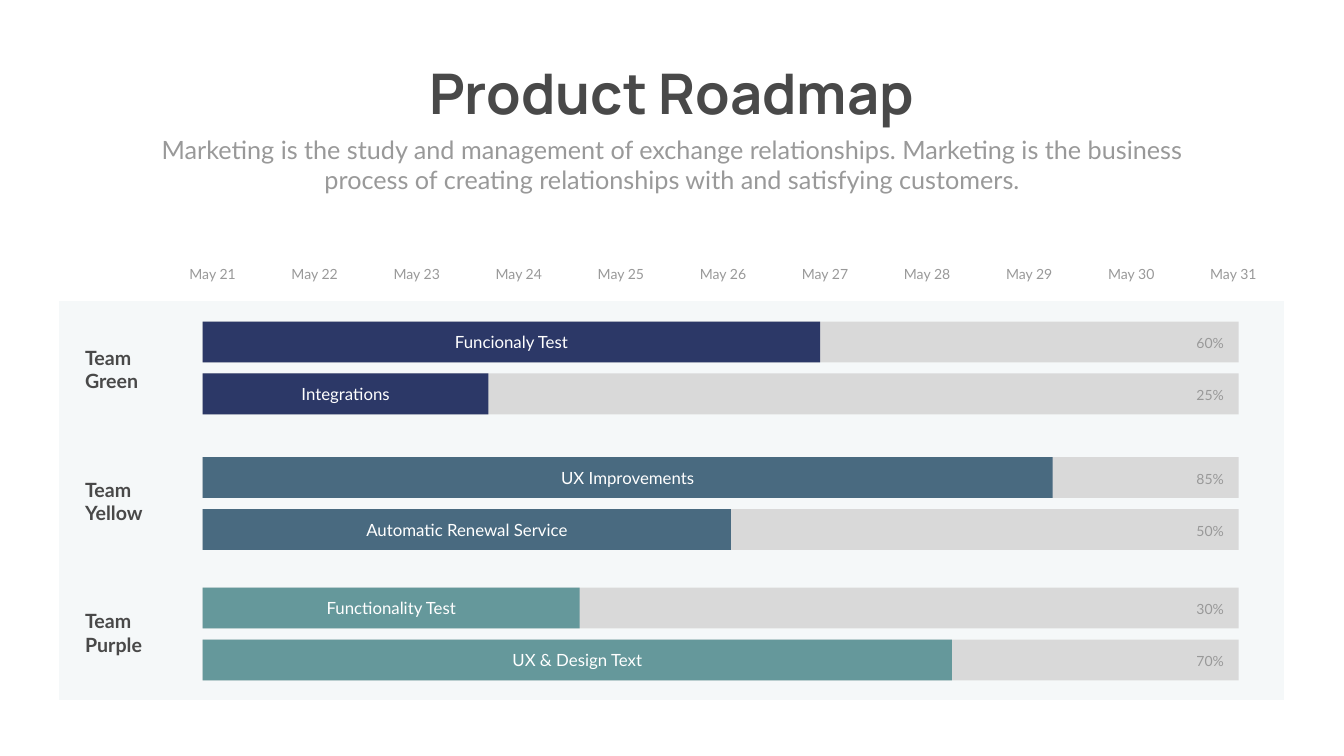
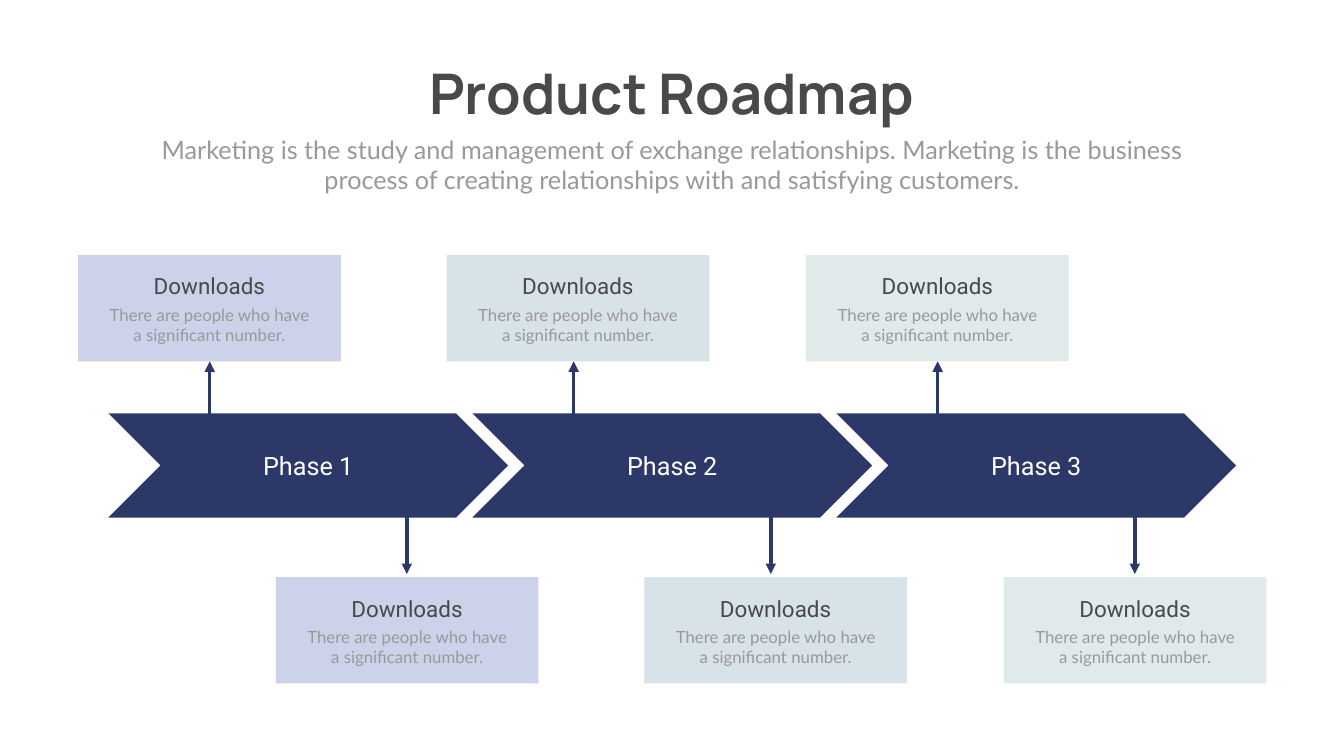
from dataclasses import dataclass
from typing import NamedTuple

from lxml.etree import SubElement
from pptx import Presentation
from pptx.dml.color import RGBColor
from pptx.enum.shapes import MSO_CONNECTOR, MSO_SHAPE
from pptx.enum.text import MSO_ANCHOR, MSO_AUTO_SIZE, PP_ALIGN
from pptx.oxml.ns import qn
from pptx.util import Emu, Pt

PX = 9144
NO_STYLE_TABLE = "{2D5ABB26-0587-4C30-8999-92F81FD0307C}"


class TextStyle(NamedTuple):
    name: str
    size: int
    color: str
    bold: bool = False


@dataclass(frozen=True)
class Theme:
    white: str = "FFFFFF"
    panel: str = "F5F8F9"
    track: str = "D9D9D9"
    navy: str = "2C3867"
    steel: str = "496A80"
    teal: str = "65989B"
    pale_navy: str = "CCD2E9"
    pale_steel: str = "D8E2E9"
    pale_teal: str = "E0EAEB"
    arrow_width: int = 5
    title: TextStyle = TextStyle("Manrope", 80, "494949", True)
    subtitle: TextStyle = TextStyle("Lato", 36, "999999")
    team: TextStyle = TextStyle("Lato", 28, "494949", True)
    task: TextStyle = TextStyle("Lato", 24, "FFFFFF")
    small: TextStyle = TextStyle("Lato", 20, "999999")
    phase: TextStyle = TextStyle("Roboto", 36, "FFFFFF")
    card_title: TextStyle = TextStyle("Roboto", 32, "494949")
    card_body: TextStyle = TextStyle("Lato", 24, "999999")


THEME = Theme()


class Box(NamedTuple):
    left: int
    top: int
    width: int
    height: int

    def emu(self) -> list[Emu]:
        return [Emu(length * PX) for length in self]


class Task(NamedTuple):
    name: str
    width: int
    percent: str


@dataclass(frozen=True)
class Team:
    name: str
    color: str
    label_top: int
    bars_top: int
    tasks: tuple[Task, ...]


@dataclass(frozen=True)
class Phase:
    name: str
    card_color: str
    card_left: int


TEAMS = (
    Team("Team Green", THEME.navy, 681, 638,
         (Task("Funcionaly Test", 1225, "60%"), Task("Integrations", 567, "25%"))),
    Team("Team Yellow", THEME.steel, 943, 907,
         (Task("UX Improvements", 1686, "85%"),
          Task("Automatic Renewal Service", 1048, "50%"))),
    Team("Team Purple", THEME.teal, 1204, 1166,
         (Task("Functionality Test", 748, "30%"), Task("UX & Design Text", 1486, "70%"))),
)
PHASES = (
    Phase("Phase 1", THEME.pale_navy, 155),
    Phase("Phase 2", THEME.pale_steel, 886),
    Phase("Phase 3", THEME.pale_teal, 1599),
)

BAR_LEFT, BAR_HEIGHT, BAR_STEP, TRACK_WIDTH = 402, 81, 103, 2055
PHASE_LEFT, PHASE_STEP = 215, 722
LOWER_CARD_SHIFT = 392


def write(frame, text: str, style: TextStyle, align=PP_ALIGN.CENTER) -> None:
    paragraph = frame.paragraphs[0]
    paragraph.alignment = align
    run = paragraph.add_run()
    run.text = text
    values = {"name": style.name, "size": Pt(style.size), "bold": style.bold}
    for attribute, value in values.items():
        setattr(run.font, attribute, value)
    run.font.color.rgb = RGBColor.from_string(style.color)


def add_text(shapes, box: Box, text: str, style: TextStyle,
             align=PP_ALIGN.CENTER, wrap: bool = True) -> None:
    frame = shapes.add_textbox(*box.emu()).text_frame
    values = {"word_wrap": wrap, "auto_size": MSO_AUTO_SIZE.SHAPE_TO_FIT_TEXT}
    for attribute, value in values.items():
        setattr(frame, attribute, value)
    write(frame, text, style, align)


def add_block(shapes, box: Box, color: str, text: str = "",
              style: TextStyle = THEME.task, kind=MSO_SHAPE.RECTANGLE) -> None:
    shape = shapes.add_shape(kind, *box.emu())
    shape.shadow.inherit = False
    shape.fill.solid()
    shape.fill.fore_color.rgb = RGBColor.from_string(color)
    shape.line.fill.background()
    if text:
        write(shape.text_frame, text, style)


def add_arrow(shapes, x: int, start: int, end: int) -> None:
    ends = [Emu(length * PX) for length in (x, start, x, end)]
    connector = shapes.add_connector(MSO_CONNECTOR.STRAIGHT, *ends)
    connector.line.width = Pt(THEME.arrow_width)
    connector.line.color.rgb = RGBColor.from_string(THEME.navy)
    properties = connector._element.spPr
    SubElement(properties.find(qn("a:ln")), qn("a:tailEnd"), type="triangle")
    SubElement(properties, qn("a:effectLst"))


def add_heading(slide) -> None:
    shapes = slide.shapes.add_group_shape().shapes
    add_text(shapes, Box(799, 112, 1067, 145), "Product Roadmap", THEME.title, wrap=False)
    add_text(shapes, Box(292, 261, 2082, 131),
             "Marketing is the study and management of exchange relationships. "
             "Marketing is the business process of creating relationships with "
             "and satisfying customers.", THEME.subtitle)


def add_calendar(slide) -> None:
    table = slide.shapes.add_table(4, 12, *Box(118, 491, 2430, 898).emu()).table
    table._tbl.tblPr.find(qn("a:tableStyleId")).text = NO_STYLE_TABLE
    for attribute in ("first_row", "horz_banding"):
        setattr(table, attribute, False)
    for row_index, row in enumerate(table.rows):
        row.height = Emu((264 if row_index else 106) * PX)
        for column_index, cell in enumerate(row.cells):
            cell.fill.solid()
            color = THEME.panel if row_index else THEME.white
            cell.fill.fore_color.rgb = RGBColor.from_string(color)
            cell.vertical_anchor = MSO_ANCHOR.MIDDLE
            if row_index == 0 and column_index > 0:
                write(cell.text_frame, f"May {20 + column_index}", THEME.small)


def add_team(slide, team: Team) -> None:
    shapes = slide.shapes
    add_text(shapes, Box(159, team.label_top, 168, 104), team.name, THEME.team, PP_ALIGN.LEFT)
    for index, task in enumerate(team.tasks):
        top = team.bars_top + index * BAR_STEP
        add_block(shapes, Box(BAR_LEFT, top, TRACK_WIDTH, BAR_HEIGHT), THEME.track)
        add_block(shapes, Box(BAR_LEFT, top, task.width, BAR_HEIGHT), team.color, task.name)
        add_text(shapes, Box(2363, top + 21, 75, 44), task.percent, THEME.small, wrap=False)


def add_card(slide, left: int, top: int, color: str) -> None:
    shapes = slide.shapes
    add_block(shapes, Box(left, top, 521, 211), color)
    add_text(shapes, Box(left + 48, top + 93, 425, 91),
             "There are people who have a significant number.", THEME.card_body)
    add_text(shapes, Box(left, top + 30, 521, 64), "Downloads", THEME.card_title)


def build_timeline(slide) -> None:
    add_heading(slide)
    add_calendar(slide)
    for team in TEAMS:
        add_team(slide, team)


def build_phases(slide) -> None:
    add_heading(slide)
    shapes = slide.shapes.add_group_shape().shapes
    for index, phase in enumerate(PHASES):
        left = PHASE_LEFT + index * PHASE_STEP
        add_block(shapes, Box(left, 820, 793, 207), THEME.navy,
                  phase.name, THEME.phase, MSO_SHAPE.CHEVRON)
        add_arrow(shapes, left + 201, 913, 717)
        add_arrow(shapes, left + 592, 904, 1139)
    for phase in PHASES:
        add_card(slide, phase.card_left, 506, phase.card_color)
        add_card(slide, phase.card_left + LOWER_CARD_SHIFT, 1145, phase.card_color)


def main() -> None:
    presentation = Presentation()
    presentation.slide_width = Emu(2666 * PX)
    presentation.slide_height = Emu(1500 * PX)
    for build in (build_timeline, build_phases):
        build(presentation.slides.add_slide(presentation.slide_layouts[6]))
    presentation.save("out.pptx")


if __name__ == "__main__":
    main()
